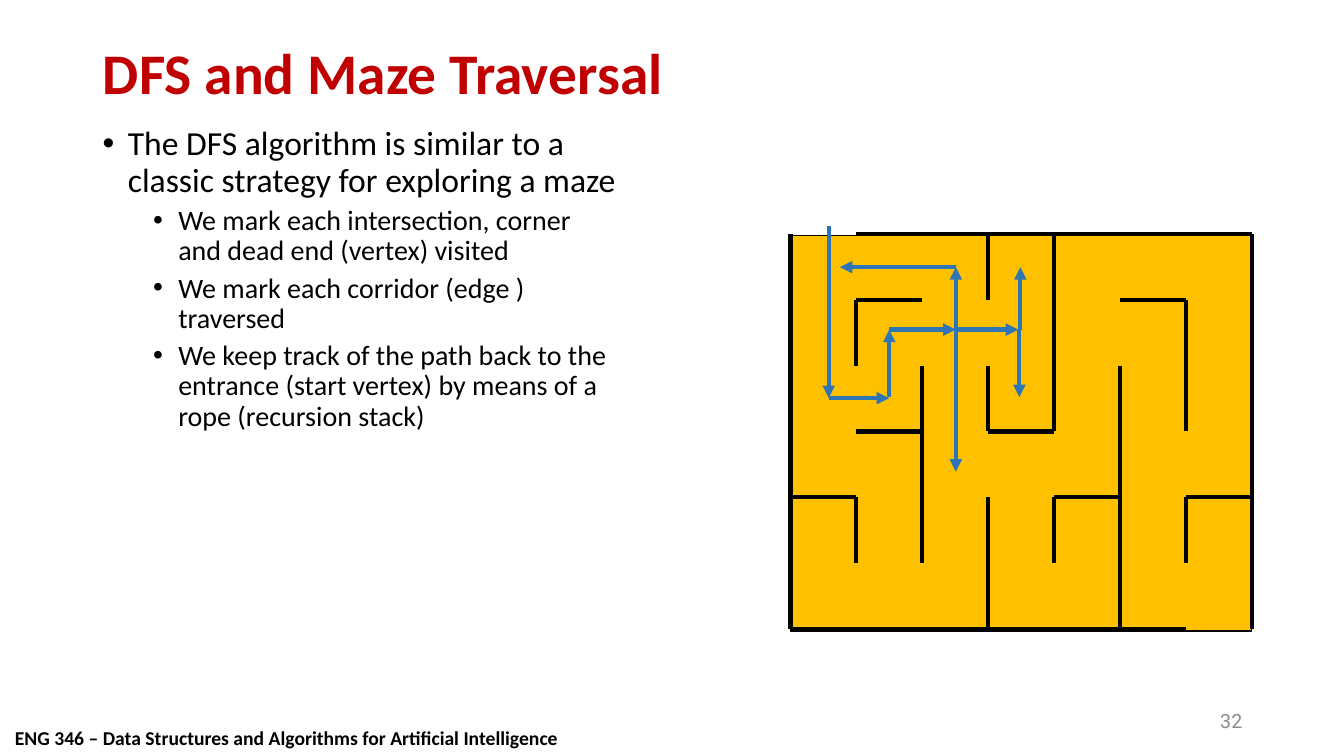
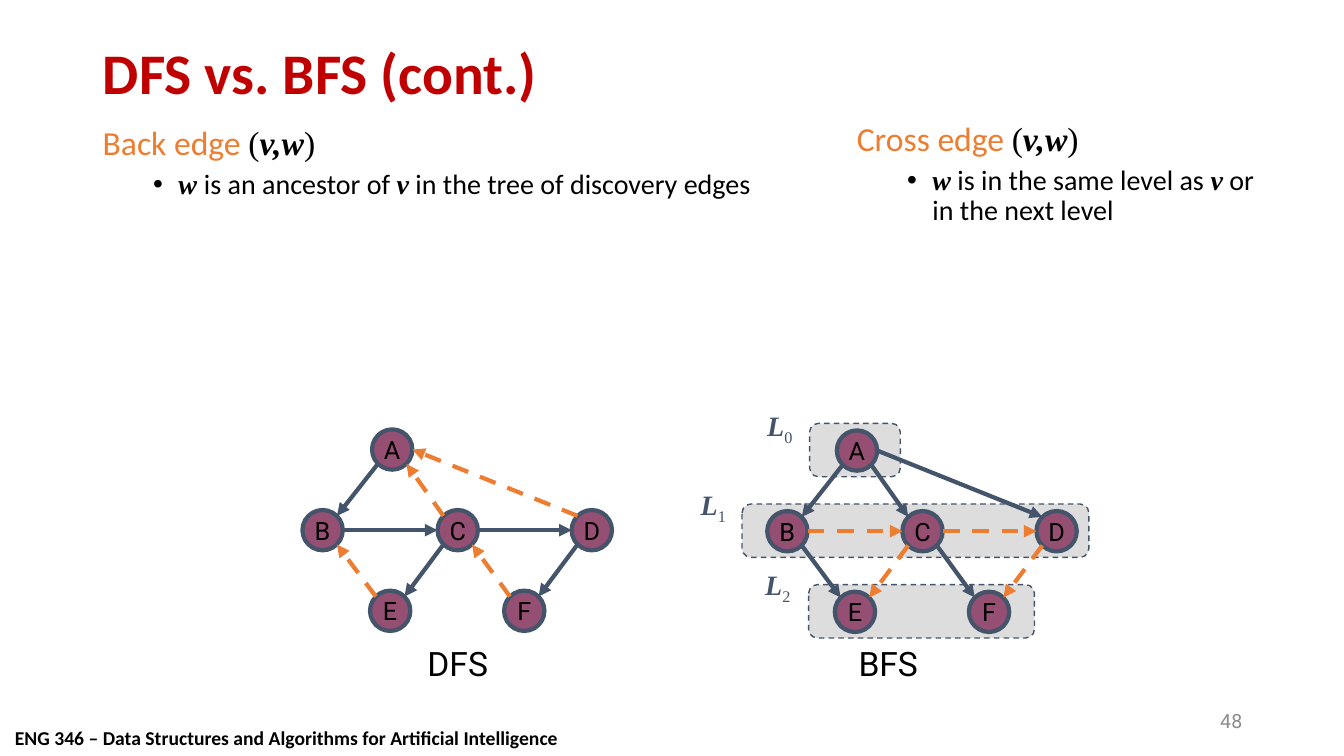
from lxml.etree import SubElement
from pptx import Presentation
from pptx.dml.color import RGBColor as RGB
from pptx.enum.dml import MSO_LINE
from pptx.enum.shapes import MSO_CONNECTOR, MSO_SHAPE
from pptx.enum.text import MSO_ANCHOR, MSO_AUTO_SIZE, PP_ALIGN
from pptx.oxml.ns import qn
from pptx.util import Inches, Pt

# Shared look
BLACK = RGB(0, 0, 0)
RED = RGB(0xC0, 0, 0)
GREY = RGB(0x8C, 0x8C, 0x8C)
GOLD = RGB(0xFF, 0xC0, 0)
BLUE = RGB(0x2E, 0x75, 0xB6)
ORANGE = RGB(0xED, 0x7D, 0x31)
SLATE = RGB(0x44, 0x54, 0x6A)
PLUM = RGB(0x95, 0x4F, 0x72)
PALE = RGB(0xDD, 0xDD, 0xDD)
SANS, SERIF, LABEL = "Calibri", "Times New Roman", "Roboto"
FOOTER = "ENG 346 – Data Structures and Algorithms for Artificial Intelligence"

# Run styles: font, colour, bold italic
PLAIN = (SANS, BLACK, False)
ACCENT = (SANS, ORANGE, False)
PAREN = (SERIF, BLACK, False)
MATH = (SERIF, BLACK, True)

# Body text: (kind, runs)
KINDS = {  # size, left indent, space before, bullet
    "top": (24, 0.25, 10, True),
    "head": (24, 0.25, 10, False),
    "sub": (20, 0.75, 5, True),
}
PAIR = [("(", PAREN), ("v,w", MATH), (")", PAREN)]
MAZE_TEXT = [
    ("top", [("The DFS algorithm is similar to a classic strategy for exploring a maze", PLAIN)]),
    ("sub", [("We mark each intersection, corner and dead end (vertex) visited", PLAIN)]),
    ("sub", [("We mark each corridor (edge ) traversed", PLAIN)]),
    ("sub", [("We keep track of the path back to the entrance (start vertex) "
              "by means of a rope (recursion stack)", PLAIN)]),
]
BACK_TEXT = [
    ("head", [("Back edge ", ACCENT)] + PAIR),
    ("sub", [("w ", MATH), ("is an ancestor of ", PLAIN), ("v", MATH),
             (" in the tree of discovery edges", PLAIN)]),
]
CROSS_TEXT = [
    ("head", [("Cross edge ", ACCENT)] + PAIR),
    ("sub", [("w", MATH), (" is in the same level as ", PLAIN), ("v", MATH),
             (" or in the next level", PLAIN)]),
]

# Maze walls in grid steps (column, row, column, row); trail in inches
MAZE_X, MAZE_Y, STEP = 7.84, 2.32, 0.6535
WALLS = [
    (0, 0, 0, 6), (7, 0, 7, 6), (1, 0, 7, 0), (0, 6, 6, 6),
    (1, 1, 1, 2), (1, 1, 2, 1), (3, 0, 3, 1), (4, 0, 4, 3),
    (5, 1, 6, 1), (6, 1, 6, 3), (2, 2, 2, 5), (1, 3, 2, 3),
    (3, 2, 3, 3), (3, 3, 4, 3), (5, 2, 5, 6), (0, 4, 1, 4),
    (1, 4, 1, 5), (3, 4, 3, 6), (4, 4, 5, 4), (4, 4, 4, 5),
    (6, 4, 7, 4), (6, 4, 6, 5),
]
TRAIL = [
    (8.22, 2.24, 8.22, 3.95), (8.22, 3.95, 8.82, 3.95),
    (8.82, 3.94, 8.82, 3.27), (8.82, 3.27, 9.48, 3.27),
    (9.48, 3.27, 9.48, 2.65), (9.48, 2.65, 8.33, 2.65),
    (9.5, 3.27, 10.1, 3.27), (10.12, 3.27, 10.12, 2.65),
    (10.11, 3.27, 10.11, 3.94), (9.48, 3.27, 9.48, 4.68),
]

# Graphs: node centres relative to B, edges as from-to letters
ROW, SIZE = 0.8, 0.4
NODES = {"A": (0.69, -ROW), "B": (0, 0), "C": (1.34, 0),
         "D": (2.67, 0), "E": (0.67, ROW), "F": (2, ROW)}
GRAPHS = [  # name, name left, centre of B, tree edges, other edges
    ("DFS", 3.67, (3.2, 5.26), "AB BC CD CE DF", "EB CA DA FC"),
    ("BFS", 7.94, (7.81, 5.27), "AB AC AD BE CF", "BC CD CE DF"),
]
LEVELS = [  # box left, box width, label left
    (8.03, 0.9, 7.48), (7.36, 3.44, 6.82), (8.02, 2.24, 7.46),
]


def style(font, name, size, color, bold=False):
    font.name, font.size, font.bold = name, Pt(size), bold
    font.color.rgb = color


def add_text(slide, box, text, name, size, color, bold=False,
             align=PP_ALIGN.LEFT, anchor=MSO_ANCHOR.TOP):
    frame = slide.shapes.add_textbox(*map(Inches, box)).text_frame
    frame.word_wrap = True
    frame.vertical_anchor = anchor
    para = frame.paragraphs[0]
    para.text, para.alignment = text, align
    style(para.font, name, size, color, bold)
    return para


def add_body(slide, box, items):
    frame = slide.shapes.add_textbox(*map(Inches, box)).text_frame
    frame.word_wrap = True
    for i, (kind, runs) in enumerate(items):
        size, left, before, bullet = KINDS[kind]
        para = frame.add_paragraph() if i else frame.paragraphs[0]
        para.line_spacing = 0.9
        if i:
            para.space_before = Pt(before)
        props = para._p.get_or_add_pPr()
        props.set("marL", str(Inches(left)))
        props.set("indent", str(Inches(-0.25)))
        if bullet:
            SubElement(props, qn("a:buFont"), typeface="Arial")
            SubElement(props, qn("a:buChar"), char="•")
        para.font.size = Pt(size)
        for text, (name, color, strong) in runs:
            run = para.add_run()
            run.text = text
            style(run.font, name, size, color, strong)
            run.font.italic = strong


def add_line(slide, ends, color, arrow=False, dash=False):
    line = slide.shapes.add_connector(MSO_CONNECTOR.STRAIGHT, *map(Inches, ends))
    line.line.color.rgb, line.line.width = color, Pt(3)
    if dash:
        line.line.dash_style = MSO_LINE.DASH
    if arrow:
        SubElement(line.line._get_or_add_ln(), qn("a:tailEnd"), type="triangle")
    SubElement(line._element.spPr, qn("a:effectLst"))


def add_shape(slide, kind, box, fill, color, width):
    shape = slide.shapes.add_shape(kind, *map(Inches, box))
    shape.shadow.inherit = False
    shape.fill.solid()
    shape.fill.fore_color.rgb = fill
    shape.line.color.rgb, shape.line.width = color, Pt(width)
    return shape


def add_slide(deck, title, number):
    slide = deck.slides.add_slide(deck.slide_layouts[5])
    head = slide.shapes.title
    head.left, head.top, head.width, head.height = map(Inches, (0.92, 0.4, 11.5, 0.7))
    frame = head.text_frame
    frame.auto_size = MSO_AUTO_SIZE.NONE
    frame.vertical_anchor = MSO_ANCHOR.MIDDLE
    para = frame.paragraphs[0]
    para.text, para.alignment, para.line_spacing = title, PP_ALIGN.LEFT, 0.9
    style(para.font, SANS, 41, RED, True)
    add_text(slide, (0.05, 7.15, 6, 0.33), FOOTER, SANS, 14, BLACK, True)
    add_text(slide, (9.42, 6.95, 3, 0.4), number, LABEL, 14, GREY,
             align=PP_ALIGN.RIGHT, anchor=MSO_ANCHOR.MIDDLE)
    return slide


def add_maze(slide):
    add_shape(slide, MSO_SHAPE.RECTANGLE, (MAZE_X, 2.34, 4.57, 3.92), GOLD, BLACK, 0)
    for a, b, c, d in WALLS:
        ends = (MAZE_X + a * STEP, MAZE_Y + b * STEP,
                MAZE_X + c * STEP, MAZE_Y + d * STEP)
        add_line(slide, ends, BLACK)
    for ends in TRAIL:
        add_line(slide, ends, BLUE, arrow=True)


def rim(node, other):
    """Point where an edge towards other leaves the circle of node."""
    (x, y), (u, v) = node, other
    side = 1 if u > x else -1
    if v >= y and abs(u - x) > 1.5 * (v - y):
        return x + side * SIZE / 2, y
    diag = SIZE / 2 * 0.71
    return x + side * diag, y + (diag if v > y else -diag)


def add_graph(slide, name, left, base, tree, extra):
    spots = {key: (base[0] + x, base[1] + y) for key, (x, y) in NODES.items()}
    for key, (x, y) in spots.items():
        box = (x - SIZE / 2, y - SIZE / 2, SIZE, SIZE)
        frame = add_shape(slide, MSO_SHAPE.OVAL, box, PLUM, SLATE, 3).text_frame
        frame.word_wrap = False
        frame.vertical_anchor = MSO_ANCHOR.MIDDLE
        para = frame.paragraphs[0]
        para.text, para.alignment = key, PP_ALIGN.CENTER
        style(para.font, LABEL, 18, BLACK)
    for edges, color, dash in ((tree, SLATE, False), (extra, ORANGE, True)):
        for a, b in edges.split():
            ends = rim(spots[a], spots[b]) + rim(spots[b], spots[a])
            add_line(slide, ends, color, True, dash)
    add_text(slide, (left, 6.33, 1.74, 0.5), name, LABEL, 24, BLACK,
             align=PP_ALIGN.CENTER)


def add_levels(slide):
    for i, (left, width, label) in enumerate(LEVELS):
        box = (left, 4.2 + i * ROW, width, 0.53)
        band = add_shape(slide, MSO_SHAPE.ROUNDED_RECTANGLE, box, PALE, SLATE, 1)
        band.line.dash_style = MSO_LINE.DASH
        para = add_text(slide, (label, 4 + i * 0.79, 0.51, 0.48), "L", SERIF, 20,
                        SLATE, True, PP_ALIGN.CENTER)
        para.runs[0].font.italic = True
        low = para.add_run()
        low.text = str(i)
        low.font.bold = False
        low._r.get_or_add_rPr().set("baseline", "-25000")


def main():
    deck = Presentation()
    deck.slide_width, deck.slide_height = Inches(13.33), Inches(7.5)

    # Maze slide
    slide = add_slide(deck, "DFS and Maze Traversal", "32")
    add_body(slide, (0.92, 1.21, 5.3, 5.54), MAZE_TEXT)
    add_maze(slide)

    # Comparison slide
    slide = add_slide(deck, "DFS vs. BFS (cont.)", "48")
    add_body(slide, (0.92, 1.21, 7.4, 2.11), BACK_TEXT)
    add_body(slide, (8.4, 1.17, 4.16, 2.11), CROSS_TEXT)
    add_levels(slide)
    for graph in GRAPHS:
        add_graph(slide, *graph)

    deck.save("out.pptx")


if __name__ == "__main__":
    main()
